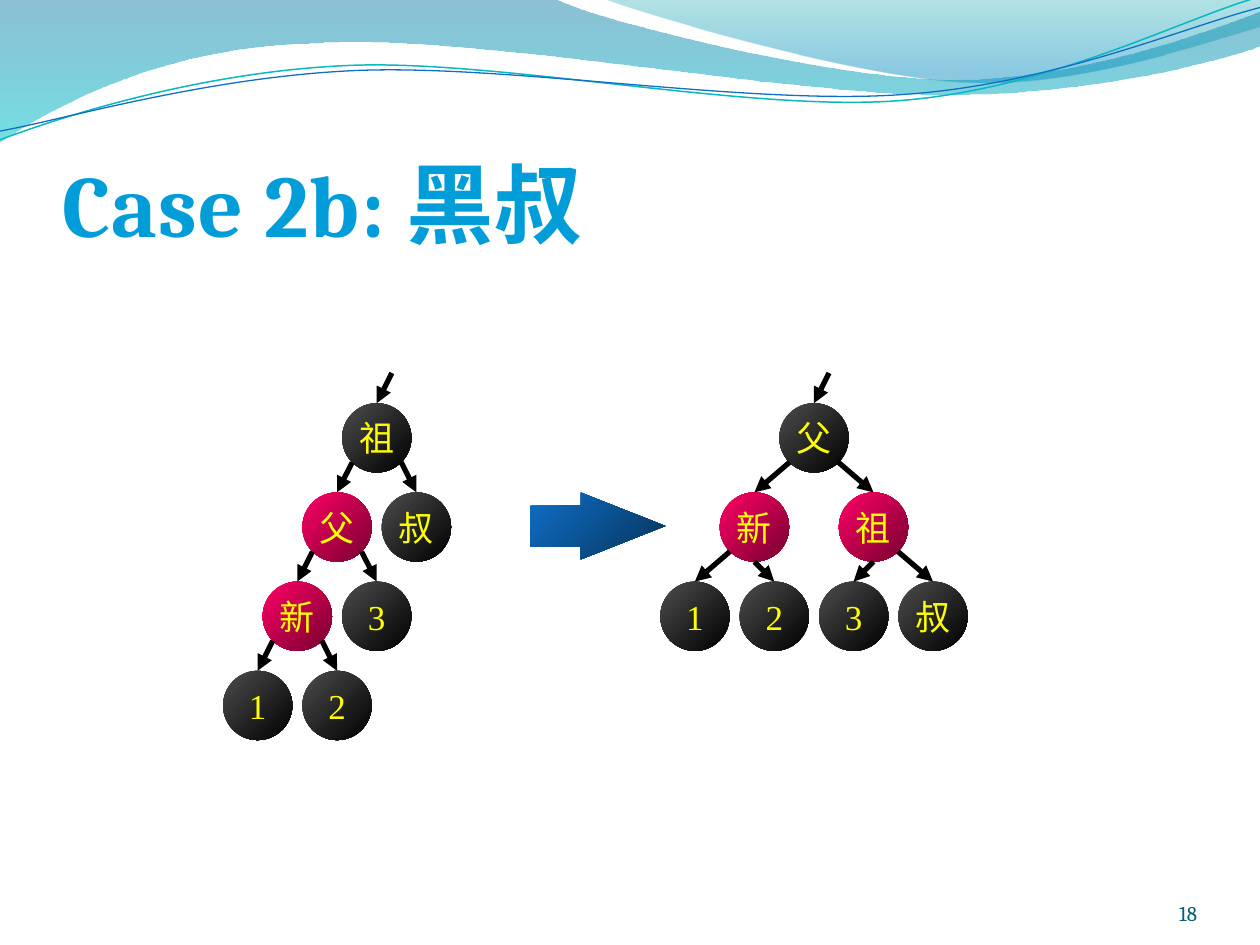
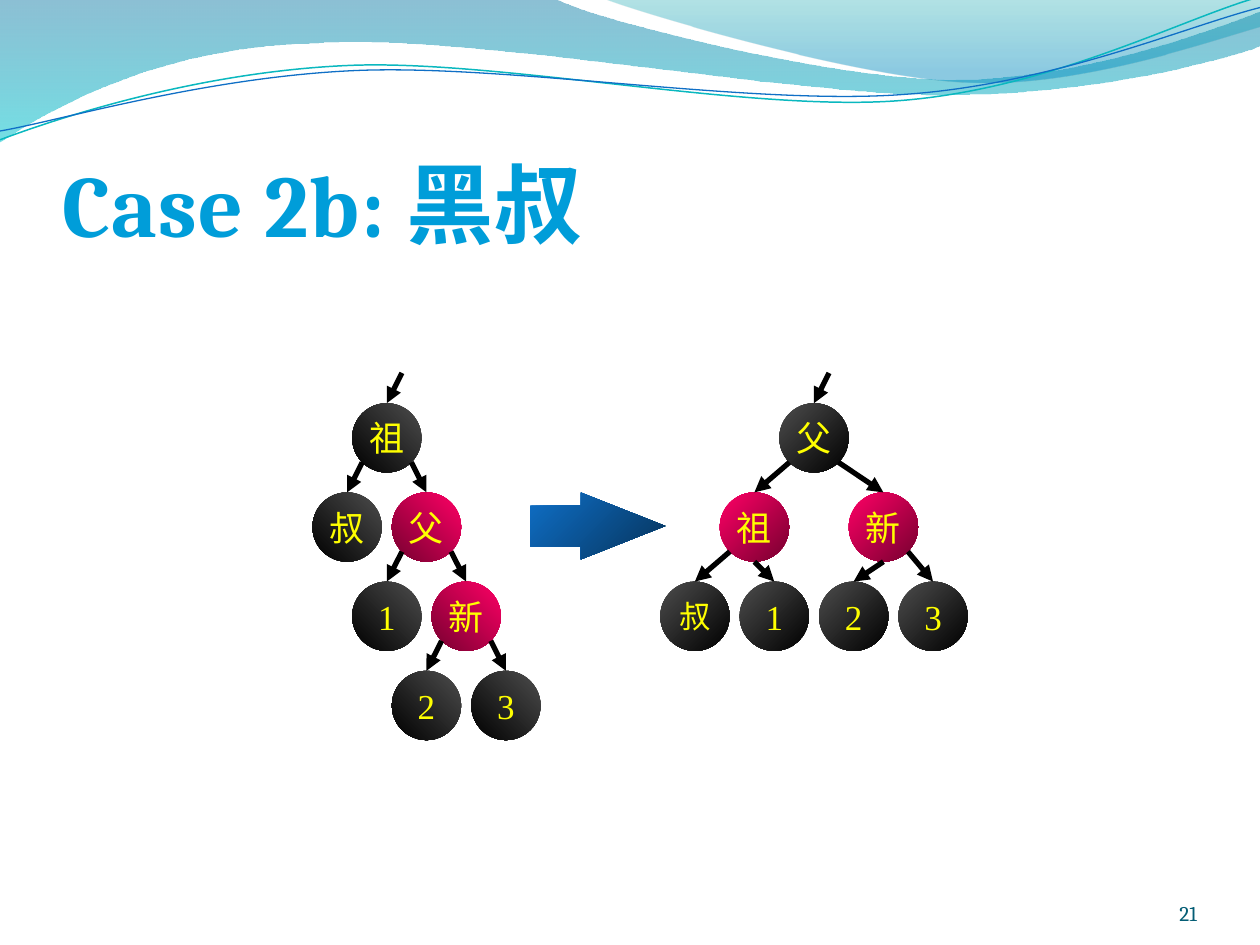
from lxml import etree
from pptx import Presentation
from pptx.dml.color import RGBColor
from pptx.enum.shapes import MSO_CONNECTOR, MSO_SHAPE
from pptx.enum.text import MSO_ANCHOR, PP_ALIGN
from pptx.oxml.ns import qn
from pptx.util import Inches, Pt

STRAIGHT = MSO_CONNECTOR.STRAIGHT
OVAL, RIGHT_ARROW = MSO_SHAPE.OVAL, MSO_SHAPE.RIGHT_ARROW
MIDDLE, BOTTOM = MSO_ANCHOR.MIDDLE, MSO_ANCHOR.BOTTOM
LEFT, CENTER, RIGHT = PP_ALIGN.LEFT, PP_ALIGN.CENTER, PP_ALIGN.RIGHT

COLORS = {
    "title": "009DD9", "title_dark": "006F99", "number": "045D75",
    "label": "FFFF00", "edge": "000000",
    "charcoal": "4D4D4D", "black": "000000", "red": "FF0066", "blue": "0F6FC6",
    "wave_blue": "0074A1", "wave_aqua": "00C6CF",
    "crest_teal": "00A1A9", "crest_blue": "008BBF", "line_teal": "0AB8BF",
}
SHADE = [("gamma", None), ("shade", "46275"), ("invGamma", None)]
NODE_STOPS = {
    "black": [("charcoal", 0, []), ("black", 1, [])],
    "red": [("red", 0, []), ("red", 1, SHADE)],
}
ARROW_STOPS = [("blue", 0, []), ("blue", 1, SHADE)]
TITLE_STOPS = [("title", 0.25, []), ("title_dark", 1, [])]

WAVES = [
    {"start": (0, 0),
     "stops": [("wave_blue", 0, [("alpha", "45000")]), ("wave_aqua", 1, [("alpha", "55000")])],
     "segments": [(4.4, -0.01), (4.76, 0.17, 6.64, 0.63, 7.58, 0.63),
                  (8.53, 0.63, 9.58, 0.26, 10, 0.09), (10.01, 0.36),
                  (9.83, 0.44, 8.7, 0.76, 7.46, 0.75),
                  (6.22, 0.75, 3.82, 0.28, 2.57, 0.34),
                  (1.29, 0.36, 0.46, 0.83, -0.01, 1.13), (0, 0)]},
    {"start": (4.79, -0.01),
     "stops": [("crest_teal", 0, [("alpha", "30000")]), ("crest_blue", 0.8, [("alpha", "45000")])],
     "segments": [(5.09, 0.11, 6.82, 0.62, 7.69, 0.65),
                  (8.56, 0.69, 9.61, 0.32, 10, 0.21), (10, 0), (4.79, -0.01)]},
    {"start": (0, 1.11), "line": ("line_teal", 0.85),
     "segments": [(0.48, 0.93, 1.58, 0.57, 2.77, 0.52),
                  (3.95, 0.47, 5.93, 0.89, 7.13, 0.8),
                  (8.33, 0.71, 9.38, 0.15, 9.98, -0.02)]},
    {"start": (0, 1.04), "line": ("blue", 0.75),
     "segments": [(0.47, 0.96, 1.64, 0.61, 2.83, 0.56),
                  (4.03, 0.51, 5.97, 0.84, 7.17, 0.75),
                  (8.36, 0.67, 9.41, 0.21, 10, 0.06)]},
]

NODE = 0.55
ROOT_TOP = 3.2
LEVEL_GAP = 0.708
COLUMN_GAP = 0.315
EDGE_DX, EDGE_DY = 0.195, 0.47
NODE_FONT = ("Times New Roman", 20)
SMALL_FONT = ("Cambria", 18)

SLIDES = [
    {"number": "18", "trees": [
        {"root_x": 2.99, "gradient_angle": 315, "first_leaf_font": NODE_FONT, "nodes": [
            ("祖", "black", 0, 0, None, 0),
            ("父", "red", 1, -1, 0, -1), ("叔", "black", 1, 1, 0, 1),
            ("新", "red", 2, -2, 1, -1), ("3", "black", 2, 0, 1, 1),
            ("1", "black", 3, -3, 3, -1), ("2", "black", 3, -1, 3, 1)]},
        {"root_x": 6.46, "gradient_angle": 315, "first_leaf_font": NODE_FONT, "nodes": [
            ("父", "black", 0, 0, None, 0),
            ("新", "red", 1, -1.5, 0, -1), ("祖", "red", 1, 1.5, 0, 1),
            ("1", "black", 2, -3, 1, -1), ("2", "black", 2, -1, 1, 0),
            ("3", "black", 2, 1, 2, 0), ("叔", "black", 2, 3, 2, 1)]}]},
    {"number": "21", "trees": [
        {"root_x": 3.07, "gradient_angle": 225, "first_leaf_font": NODE_FONT, "nodes": [
            ("祖", "black", 0, 0, None, 0),
            ("叔", "black", 1, -1, 0, -1), ("父", "red", 1, 1, 0, 1),
            ("1", "black", 2, 0, 2, -1), ("新", "red", 2, 2, 2, 1),
            ("2", "black", 3, 1, 4, -1), ("3", "black", 3, 3, 4, 1)]},
        {"root_x": 6.46, "gradient_angle": 315, "first_leaf_font": SMALL_FONT, "nodes": [
            ("父", "black", 0, 0, None, 0),
            ("祖", "red", 1, -1.5, 0, -1), ("新", "red", 1, 1.75, 0, 1),
            ("叔", "black", 2, -3, 1, -1), ("1", "black", 2, -1, 1, 0),
            ("2", "black", 2, 1, 2, 0), ("3", "black", 2, 3, 2, 1)]}]},
]


def set_gradient(fill, stops, angle):
    fill.gradient()
    fill.gradient_angle = angle
    for stop, (color, position, _) in zip(fill.gradient_stops, stops):
        stop.color.rgb = RGBColor.from_string(COLORS[color])
        stop.position = position
    for tint, (_, _, changes) in zip(fill._xPr.iter(qn("a:srgbClr")), stops):
        for tag, value in changes:
            change = etree.SubElement(tint, qn("a:" + tag))
            if value:
                change.set("val", value)


def write_text(shape, text, size, font, color, align, anchor, wrap=True):
    frame = shape.text_frame
    frame.word_wrap = wrap
    frame.vertical_anchor = anchor
    paragraph = frame.paragraphs[0]
    paragraph.text = text
    paragraph.alignment = align
    paragraph.font.size = Pt(size)
    paragraph.font.name = font
    paragraph.font.color.rgb = RGBColor.from_string(COLORS[color])
    return frame


prs = Presentation()
prs.slide_width, prs.slide_height = Inches(10), Inches(7.5)

for content in SLIDES:
    shapes = prs.slides.add_slide(prs.slide_layouts[6]).shapes

    for wave in WAVES:
        points = [(Inches(x), Inches(y)) for segment in wave["segments"]
                  for x, y in zip(segment[::2], segment[1::2])]
        outline = shapes.build_freeform(*[Inches(v) for v in wave["start"]])
        outline.add_line_segments(points, close="stops" in wave)
        ribbon = outline.convert_to_shape()
        ribbon.shadow.inherit = False
        steps = list(ribbon._element.iter(qn("a:lnTo")))
        for segment in wave["segments"]:
            count = len(segment) // 2
            used, steps = steps[:count], steps[count:]
            if count == 3:
                used[0].tag = qn("a:cubicBezTo")
                curve = used[0]
                for step in used[1:]:
                    curve.append(step[0])
                    step.getparent().remove(step)
        if "stops" in wave:
            set_gradient(ribbon.fill, wave["stops"], 270)
            ribbon.line.fill.background()
        else:
            color, width = wave["line"]
            ribbon.fill.background()
            ribbon.line.color.rgb = RGBColor.from_string(COLORS[color])
            ribbon.line.width = Pt(width)

    page_number = shapes.add_textbox(Inches(8.67), Inches(6.95), Inches(0.83), Inches(0.4))
    frame = write_text(page_number, content["number"], 12, "Cambria", "number", RIGHT, BOTTOM)
    frame.margin_left = frame.margin_right = frame.margin_top = frame.margin_bottom = 0

    title = shapes.add_textbox(Inches(0.5), Inches(0.77), Inches(9), Inches(1.25))
    frame = write_text(title, "Case 2b: 黑叔", 50, "Cambria", "title", LEFT, BOTTOM)
    frame.margin_left = frame.margin_right = frame.margin_bottom = 0
    frame.margin_top = Inches(0.05)
    frame.paragraphs[0].font.bold = True
    heading = frame.paragraphs[0].runs[0]
    set_gradient(heading.font.fill, TITLE_STOPS, 270)
    heading._r.get_or_add_rPr().set("spc", "50")

    rotation_arrow = shapes.add_shape(RIGHT_ARROW, Inches(4.21), Inches(3.91),
                                      Inches(1.07), Inches(0.53))
    rotation_arrow.adjustments[0] = 0.608
    rotation_arrow.adjustments[1] = 1.261
    set_gradient(rotation_arrow.fill, ARROW_STOPS, 315)
    rotation_arrow.line.fill.background()
    rotation_arrow.shadow.inherit = False

    for tree in content["trees"]:
        circles = []
        centers = []
        for label, color, level, column, parent, side in tree["nodes"]:
            x = tree["root_x"] + column * COLUMN_GAP
            y = ROOT_TOP + level * LEVEL_GAP
            circle = shapes.add_shape(OVAL, Inches(x - NODE / 2), Inches(y),
                                      Inches(NODE), Inches(NODE))
            set_gradient(circle.fill, NODE_STOPS[color], tree["gradient_angle"])
            circle.line.fill.background()
            circle.shadow.inherit = False
            font, size = tree["first_leaf_font"] if column == -3 else NODE_FONT
            write_text(circle, label, size, font, "label", CENTER, MIDDLE, wrap=False)
            circles.append(circle)
            centers.append((x, y))

        for circle, (x, y), node in zip(circles, centers, tree["nodes"]):
            parent, side = node[4:]
            if parent is None:
                start_x, start_y = x + 0.12, y - 0.24
            else:
                parent_x, parent_y = centers[parent]
                start_x = parent_x + side * EDGE_DX
                start_y = parent_y + (EDGE_DY if side else NODE)
            edge = shapes.add_connector(STRAIGHT, Inches(start_x), Inches(start_y),
                                        Inches(x), Inches(y))
            edge.end_connect(circle, 0)
            edge.line.color.rgb = RGBColor.from_string(COLORS["edge"])
            edge.line.width = Pt(3)
            properties = edge._element.spPr
            etree.SubElement(properties.find(qn("a:ln")), qn("a:tailEnd")).set("type", "triangle")
            etree.SubElement(properties, qn("a:effectLst"))

prs.save("out.pptx")
